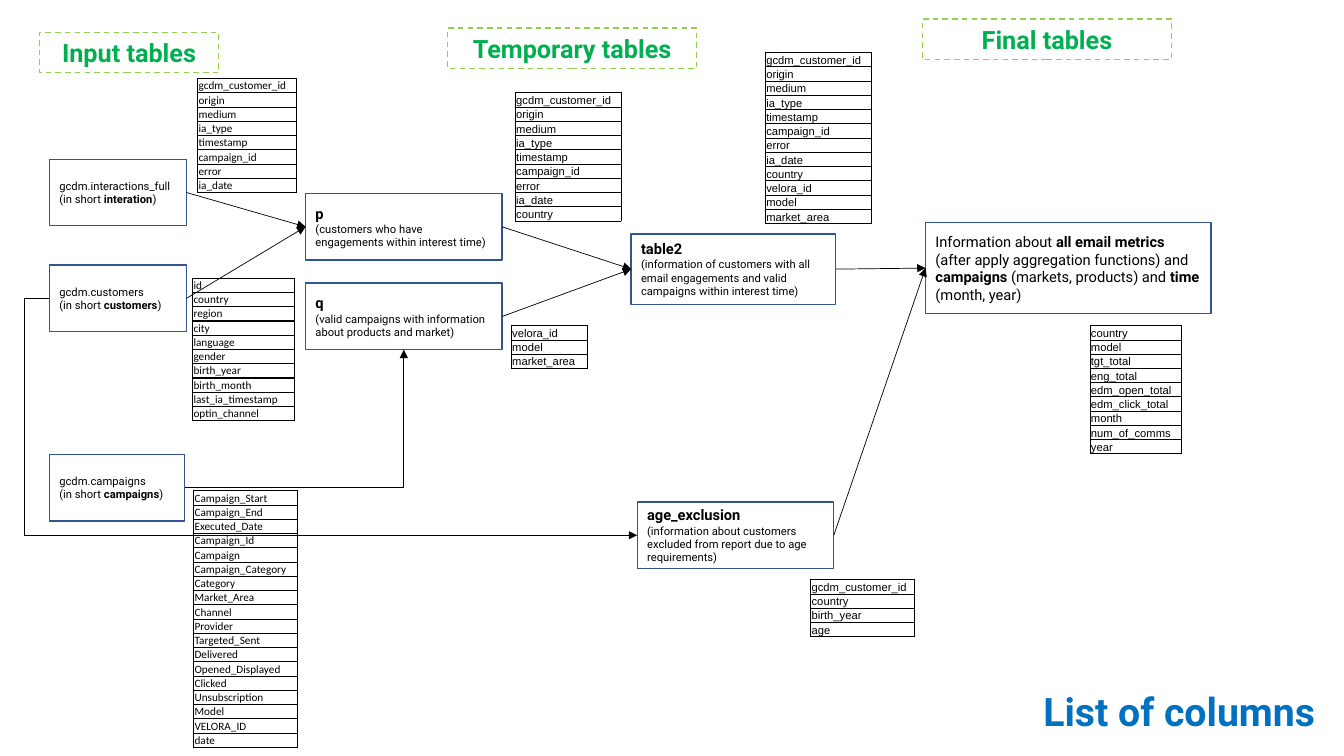
import pptx
import pptx.dml.color
import pptx.enum.dml
import pptx.enum.shapes
import pptx.enum.text
import pptx.oxml
import pptx.oxml.ns
import pptx.util
from pptx.util import Inches

RGBColor = pptx.dml.color.RGBColor
BLACK = RGBColor(0x00, 0x00, 0x00)
WHITE = RGBColor(0xFF, 0xFF, 0xFF)
NAVY = RGBColor(0x32, 0x54, 0x91)
LIME = RGBColor(0x92, 0xD0, 0x50)
GREEN = RGBColor(0x00, 0xB0, 0x50)
BLUE = RGBColor(0x00, 0x70, 0xC0)

ALIGN = pptx.enum.text.PP_ALIGN
ANCHOR = pptx.enum.text.MSO_ANCHOR
CONNECTOR = pptx.enum.shapes.MSO_CONNECTOR
TOP, LEFT, BOTTOM, RIGHT = range(4)  # connection sites of a rectangle
ROW_HEIGHT = pptx.util.Pt(10.2)

# Section headings: text, left, top, width
HEADINGS = [
    ("Input tables", 0.39, 0.32, 1.78),
    ("Temporary tables", 4.44, 0.28, 2.47),
    ("Final tables", 9.15, 0.19, 2.47),
]

# Boxes: left, top, width, height, paragraphs as (text, size); ** marks bold
BOXES = {
    "interactions": (0.49, 1.58, 1.36, 0.66, [
        ("gcdm.interactions_full", 8), ("(in short **interation**)", 8)]),
    "customers": (0.49, 2.63, 1.36, 0.66, [
        ("gcdm.customers", 8), ("(in short **customers**)", 8)]),
    "campaigns": (0.49, 4.51, 1.34, 0.66, [
        ("gcdm.campaigns", 8), ("(in short **campaigns**)", 8)]),
    "table2": (6.26, 2.32, 2.03, 0.7, [
        ("**table2**", 10.5),
        ("(information of customers with all email engagements and valid "
         "campaigns within interest time)", 8)]),
    "age_exclusion": (6.32, 4.98, 1.95, 0.66, [
        ("**age_exclusion**", 10.5),
        ("(information about customers excluded from report due to age "
         "requirements)", 8)]),
    "final": (9.18, 2.21, 2.83, 0.9, [
        ("Information about **all email metrics **(after apply aggregation "
         "functions) and **campaigns** (markets, products) and **time** "
         "(month, year)", 10.5)]),
    "p": (3.03, 1.92, 1.95, 0.66, [
        ("**p**", 10.5),
        ("(customers who have engagements within interest time)", 8)]),
    "q": (3.03, 2.81, 1.95, 0.66, [
        ("**q**", 10.5),
        ("(valid campaigns with information about products and market)", 8)]),
}

STRAIGHT_ARROWS = [
    ("interactions", "p"), ("customers", "p"), ("p", "table2"),
    ("q", "table2"), ("table2", "final"), ("age_exclusion", "final"),
]

# Column lists: left, top, width, font, border width, column names
INTERACTION_COLUMNS = ("gcdm_customer_id origin medium ia_type timestamp "
                       "campaign_id error ia_date")
CAMPAIGN_COLUMNS = (
    "Campaign_Start Campaign_End Executed_Date Campaign_Id Campaign "
    "Campaign_Category Category Market_Area Channel Provider Targeted_Sent "
    "Delivered Opened_Displayed Clicked Unsubscription Model VELORA_ID date")
CUSTOMER_COLUMNS = ("id country region city language gender birth_year "
                    "birth_month last_ia_timestamp optin_channel")
P_COLUMNS = INTERACTION_COLUMNS + " country"
Q_COLUMNS = "velora_id model market_area"
FINAL_COLUMNS = ("country model tgt_total eng_total edm_open_total "
                 "edm_click_total month num_of_comms year")
COLUMN_LISTS = [
    (1.96, 0.78, 0.98, "Calibri", 1, INTERACTION_COLUMNS),
    (1.92, 4.87, 1.03, "Calibri", 1, CAMPAIGN_COLUMNS),
    (1.91, 2.76, 1.01, "Calibri", 1, CUSTOMER_COLUMNS),
    (5.11, 0.92, 1.05, "Arial", 0.5, P_COLUMNS),
    (5.07, 3.23, 0.76, "Arial", 0.5, Q_COLUMNS),
    (7.59, 0.52, 1.05, "Arial", 0.5, P_COLUMNS + " " + Q_COLUMNS),
    (8.04, 5.75, 1.03, "Arial", 0.5, "gcdm_customer_id country birth_year age"),
    (10.81, 3.23, 0.91, "Arial", 0.5, FINAL_COLUMNS),
]


def add_text(paragraph, text, size=8, font="Roboto", color=BLACK,
             align=ALIGN.LEFT):
    """Fill a paragraph; text between ** marks is bold."""
    paragraph.alignment = align
    for index, piece in enumerate(text.split("**")):
        if piece:
            run = paragraph.add_run()
            run.text = piece
            run.font.size = pptx.util.Pt(size)
            run.font.name = font
            run.font.bold = index % 2 == 1
            run.font.color.rgb = color


def add_rectangle(slide, left, top, width, height, line_color):
    shape = slide.shapes.add_shape(
        pptx.enum.shapes.MSO_SHAPE.RECTANGLE,
        Inches(left), Inches(top), Inches(width), Inches(height))
    shape.shadow.inherit = False
    shape.line.color.rgb = line_color
    shape.line.width = pptx.util.Pt(1)
    shape.text_frame.word_wrap = True
    return shape


def add_heading(slide, text, left, top, width):
    shape = add_rectangle(slide, left, top, width, 0.4, LIME)
    shape.fill.background()
    shape.line.dash_style = pptx.enum.dml.MSO_LINE.DASH
    shape.text_frame.vertical_anchor = ANCHOR.TOP
    add_text(shape.text_frame.paragraphs[0], f"**{text}**", size=18,
             color=GREEN, align=ALIGN.CENTER)


def add_box(slide, left, top, width, height, paragraphs):
    shape = add_rectangle(slide, left, top, width, height, NAVY)
    shape.fill.solid()
    shape.fill.fore_color.rgb = WHITE
    frame = shape.text_frame
    frame.vertical_anchor = ANCHOR.MIDDLE
    for index, (text, size) in enumerate(paragraphs):
        paragraph = frame.add_paragraph() if index else frame.paragraphs[0]
        add_text(paragraph, text, size=size)
    return shape


def add_arrow(slide, source, target, source_site=RIGHT, target_site=LEFT,
              kind=CONNECTOR.STRAIGHT):
    arrow = slide.shapes.add_connector(kind, 0, 0, 0, 0)
    arrow.begin_connect(source, source_site)
    arrow.end_connect(target, target_site)
    arrow.line.color.rgb = BLACK
    arrow.line.width = pptx.util.Pt(0.5)
    properties = arrow._element.spPr
    line = properties.find(pptx.oxml.ns.qn("a:ln"))
    line.append(pptx.oxml.parse_xml(
        f'<a:tailEnd {pptx.oxml.ns.nsdecls("a")} type="triangle"/>'))
    properties.append(pptx.oxml.parse_xml(
        f'<a:effectLst {pptx.oxml.ns.nsdecls("a")}/>'))
    return arrow


def set_borders(cell, width):
    properties = cell._tc.get_or_add_tcPr()
    for index, side in enumerate(("lnL", "lnR", "lnT", "lnB")):
        properties.insert(index, pptx.oxml.parse_xml(
            f'<a:{side} {pptx.oxml.ns.nsdecls("a")} w="{pptx.util.Pt(width)}">'
            f'<a:solidFill><a:srgbClr val="{BLACK}"/></a:solidFill>'
            f'</a:{side}>'))


def add_column_list(slide, left, top, width, font, border, columns):
    names = columns.split()
    table = slide.shapes.add_table(
        len(names), 1, Inches(left), Inches(top), Inches(width),
        ROW_HEIGHT * len(names)).table
    table.first_row = table.horz_banding = False
    for row, name in zip(table.rows, names):
        cell = row.cells[0]
        cell.fill.background()
        cell.vertical_anchor = ANCHOR.BOTTOM
        cell.margin_left = cell.margin_right = Inches(0.01)
        cell.margin_top = cell.margin_bottom = 0
        add_text(cell.text_frame.paragraphs[0], name, font=font)
        set_borders(cell, border)


def main():
    presentation = pptx.Presentation()
    presentation.slide_width = Inches(13.33)
    presentation.slide_height = Inches(7.5)
    slide = presentation.slides.add_slide(presentation.slide_layouts[6])

    # Headings and boxes
    for heading in HEADINGS:
        add_heading(slide, *heading)
    boxes = {name: add_box(slide, *box) for name, box in BOXES.items()}

    # Data flow
    for source, target in STRAIGHT_ARROWS:
        add_arrow(slide, boxes[source], boxes[target])
    around = add_arrow(slide, boxes["customers"], boxes["age_exclusion"],
                       source_site=LEFT, kind=CONNECTOR.ELBOW)
    around._element.spPr.prstGeom.get_or_add_avLst().append(
        pptx.oxml.parse_xml(f'<a:gd {pptx.oxml.ns.nsdecls("a")} '
                            'name="adj1" fmla="val -4300"/>'))

    # Column lists
    for column_list in COLUMN_LISTS:
        add_column_list(slide, *column_list)
    upward = add_arrow(slide, boxes["campaigns"], boxes["q"],
                       target_site=BOTTOM, kind=CONNECTOR.ELBOW)
    upward._element.spPr.prstGeom.set("prst", "bentConnector2")

    # Slide title
    title = slide.shapes.add_textbox(
        Inches(9.83), Inches(6.77), Inches(3.31), Inches(0.57))
    title.text_frame.word_wrap = True
    add_text(title.text_frame.paragraphs[0], "**List of columns**", size=28,
             color=BLUE, align=ALIGN.RIGHT)

    presentation.save("out.pptx")


main()
